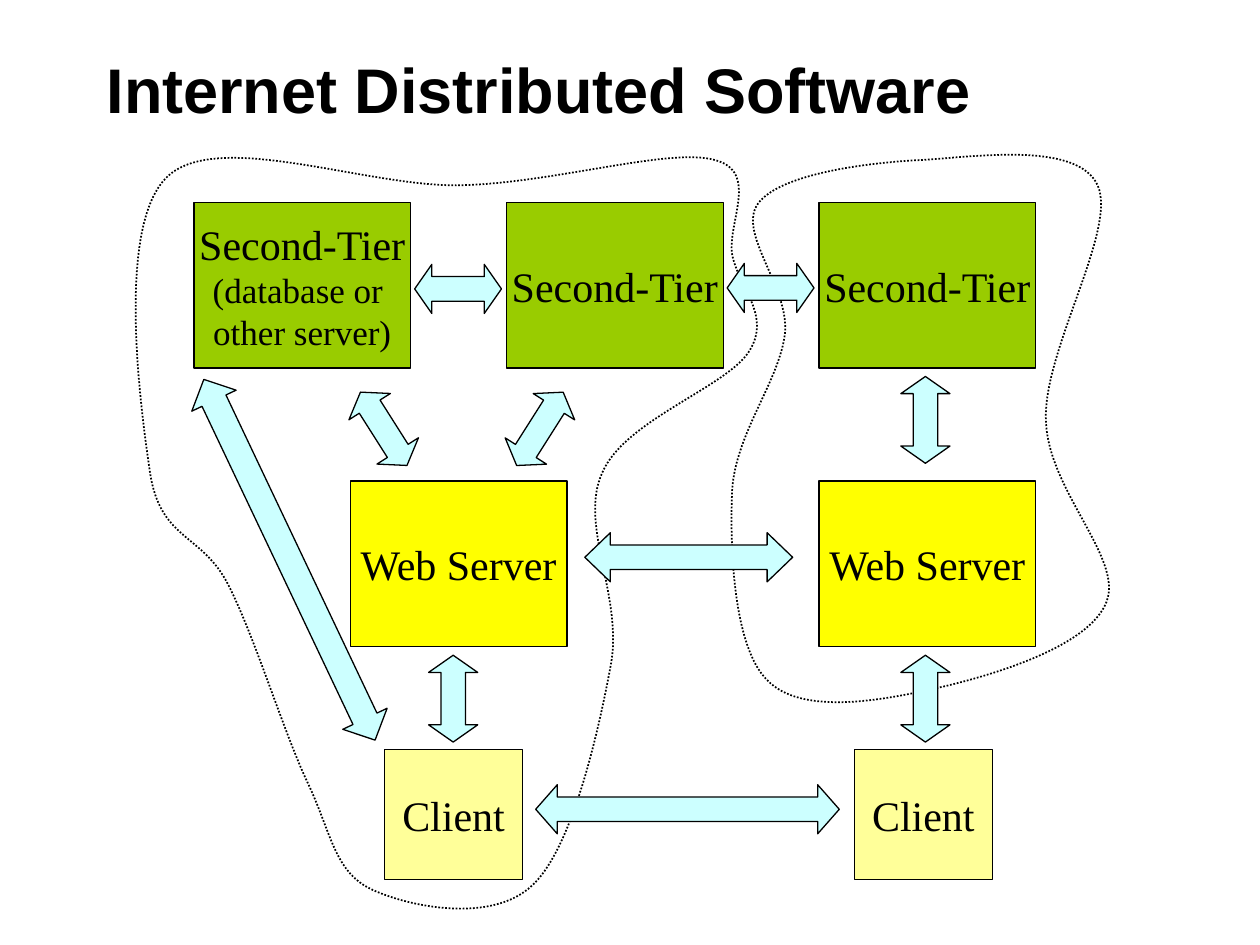
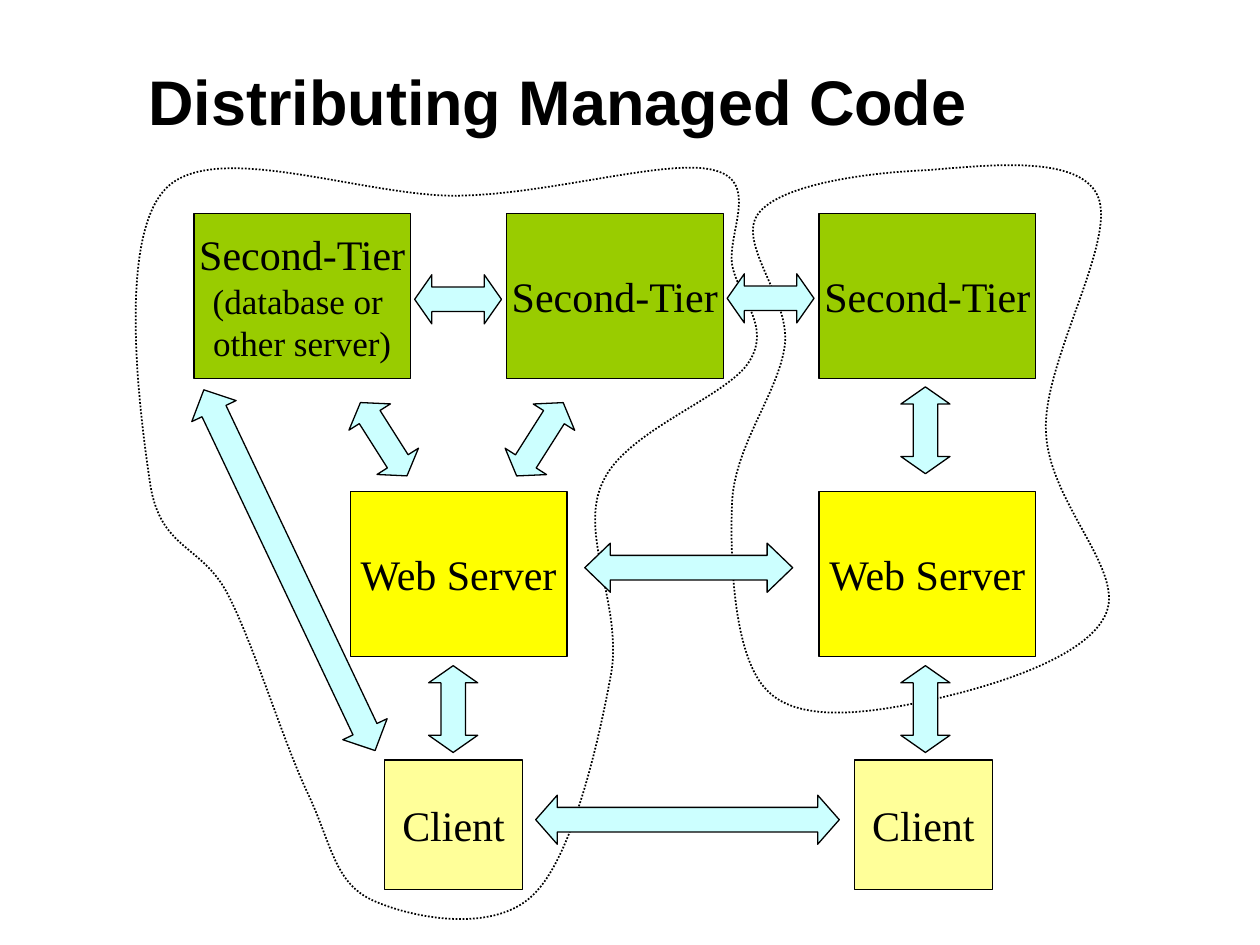
from dataclasses import dataclass

from lxml import etree
from pptx import Presentation
from pptx.dml.color import RGBColor
from pptx.enum.dml import MSO_LINE
from pptx.enum.shapes import MSO_SHAPE
from pptx.enum.text import MSO_ANCHOR, PP_ALIGN
from pptx.oxml.ns import qn
from pptx.util import Cm, Pt

RECT, ARROW = MSO_SHAPE.RECTANGLE, MSO_SHAPE.LEFT_RIGHT_ARROW
DOTTED = MSO_LINE.ROUND_DOT
MIDDLE, LEFT, CENTER = MSO_ANCHOR.MIDDLE, PP_ALIGN.LEFT, PP_ALIGN.CENTER


@dataclass(frozen=True)
class Theme:
    ink: str = "000000"
    second_tier: str = "99CC00"
    web_server: str = "FFFF00"
    client: str = "FFFF99"
    arrow: str = "CCFFFF"
    title_font: str = "Arial"
    body_font: str = "Times New Roman"
    title_size: int = 36
    label_size: int = 24
    detail_size: int = 20
    thin: float = 0.75
    dotted: float = 1


T = Theme()
TITLE = {"name": T.title_font, "size": Pt(T.title_size), "bold": True}
LABEL = {"name": T.body_font, "size": Pt(T.label_size)}
DETAIL = {"name": T.body_font, "size": Pt(T.detail_size)}

# Kinds of node: fill, width, height, top
TIER_BOX = (T.second_tier, 4.37, 3.33, 1.5)
WEB_BOX = (T.web_server, 4.37, 3.33, 7.11)
CLIENT_BOX = (T.client, 2.79, 2.62, 12.52)

TIER_LEFTS = [1.57 + 6.3 * i for i in range(3)]
TIER = [("Second-Tier", LABEL)]
DATABASE = TIER + [("(database or ", DETAIL), ("other server)", DETAIL)]

NODES = [
    (WEB_BOX, 4.72, [("Web Server", LABEL)]),
    (CLIENT_BOX, 5.41, [("Client", LABEL)]),
    (CLIENT_BOX, 14.88, [("Client", LABEL)]),
    (WEB_BOX, TIER_LEFTS[2], [("Web Server", LABEL)]),
    *((TIER_BOX, x, lines) for x, lines in zip(TIER_LEFTS, [DATABASE, TIER, TIER])),
]

# Arrows: left, top, length, rotation, shaft share, head share
SHORT, ARROW_HEIGHT = 1.75, 0.99
ARROWS = [
    (7.67, 5.56, SHORT, 302.4, 0.5, 0.35),
    (15.44, 5.38, SHORT, 90, 0.5, 0.35),
    (4.52, 5.56, SHORT, 57.6, 0.5, 0.35),
    (-0.53, 8.2, 8.05, 64.6, 0.54, 0.48),
    (6.02, 2.74, SHORT, 0, 0.5, 0.35),
    (12.32, 2.72, SHORT, 0, 0.5, 0.35),
    (9.45, 8.15, 4.19, 0, 0.5, 0.52),
    (15.44, 11, SHORT, 90, 0.5, 0.35),
    (5.92, 11, SHORT, 90, 0.5, 0.35),
    (8.46, 13.23, 6.12, 0, 0.5, 0.44),
]

# Network outlines: a start point, then three points per Bézier curve
OUTLINE_UNIT = Cm(2.54) / 100
NETWORKS = [
    [(330, 601),
     (298, 631), (233, 618), (203, 604), (173, 590), (171, 559), (152, 519),
     (133, 479), (110, 403), (89, 362), (68, 321), (35, 327), (27, 273),
     (19, 219), (0, 76), (41, 38), (82, 0), (203, 48), (276, 45),
     (348, 43), (440, 15), (475, 25), (511, 34), (485, 75), (489, 100),
     (494, 126), (520, 148), (503, 176), (486, 205), (404, 231), (386, 273),
     (367, 314), (402, 370), (393, 424), (383, 479), (362, 572), (330, 601)],
    [(648, 445),
     (603, 455), (543, 465), (517, 438), (490, 412), (487, 333), (489, 287),
     (492, 241), (527, 200), (531, 162), (534, 125), (492, 82), (510, 59),
     (528, 36), (596, 27), (641, 25), (686, 22), (763, 11), (779, 45),
     (795, 80), (736, 176), (738, 231), (739, 287), (800, 341), (786, 376),
     (772, 412), (693, 435), (648, 445)],
]

# Slides: title, title box (left, top, width, height), diagram corner
SLIDES = [
    ("Internet Distributed Software", (1.9, 0.2, 21.59, 3.18), (2.34, 2.59)),
    ("Distributing Managed Code", (2.74, 0.43, 22.02, 3.18), (2.34, 2.8)),
]


def write(sp, lines, align, wrap):
    """Put lines of (text, font format) into one paragraph."""
    tf = sp.text_frame
    tf.word_wrap, tf.vertical_anchor = wrap, MIDDLE
    p = tf.paragraphs[0]
    p.alignment = align
    for i, (text, fmt) in enumerate(lines):
        if i:
            p.add_line_break()
        r = p.add_run()
        r.text = text
        r.font.color.rgb = RGBColor.from_string(T.ink)
        for key, value in fmt.items():
            setattr(r.font, key, value)


def paint(sp, fill=None, width=T.thin):
    sp.shadow.inherit = False
    if fill:
        sp.fill.solid()
        sp.fill.fore_color.rgb = RGBColor.from_string(fill)
    else:
        sp.fill.background()
    sp.line.color.rgb = RGBColor.from_string(T.ink)
    sp.line.width = Pt(width)


def add_title(s, text, box):
    sp = s.shapes.add_textbox(*map(Cm, box))
    write(sp, [(text, TITLE)], LEFT, True)


def add_network(s, points, left, top):
    """Draw a closed dotted outline, turning triples of points into curves."""
    builder = s.shapes.build_freeform(*points[0], scale=OUTLINE_UNIT)
    builder.add_line_segments(points[1:], close=True)
    sp = builder.convert_to_shape(Cm(left), Cm(top))
    segments = list(sp._element.iter(qn("a:lnTo")))
    for i in range(0, len(points) - 1, 3):
        curve = etree.Element(qn("a:cubicBezTo"))
        segments[i].addprevious(curve)
        for segment in segments[i:i + 3]:
            curve.append(segment[0])
            segment.getparent().remove(segment)
    paint(sp, width=T.dotted)
    sp.line.dash_style = DOTTED


def add_diagram(s, left, top):
    # Network outlines
    for points in NETWORKS:
        add_network(s, points, left, top)
    # Servers and clients
    for (fill, width, height, y), x, lines in NODES:
        sp = s.shapes.add_shape(RECT, Cm(left + x), Cm(top + y), Cm(width), Cm(height))
        paint(sp, fill)
        write(sp, lines, CENTER, False)
    # Connections
    for x, y, length, rotation, shaft, head in ARROWS:
        sp = s.shapes.add_shape(ARROW, Cm(left + x), Cm(top + y), Cm(length), Cm(ARROW_HEIGHT))
        sp.rotation = rotation
        sp.adjustments[0], sp.adjustments[1] = shaft, head
        paint(sp, T.arrow)


def main():
    prs = Presentation()
    prs.slide_width, prs.slide_height = Cm(25.4), Cm(19.05)
    for title, title_box, corner in SLIDES:
        s = prs.slides.add_slide(prs.slide_layouts[6])
        add_diagram(s, *corner)
        add_title(s, title, title_box)
    prs.save("out.pptx")


if __name__ == "__main__":
    main()
